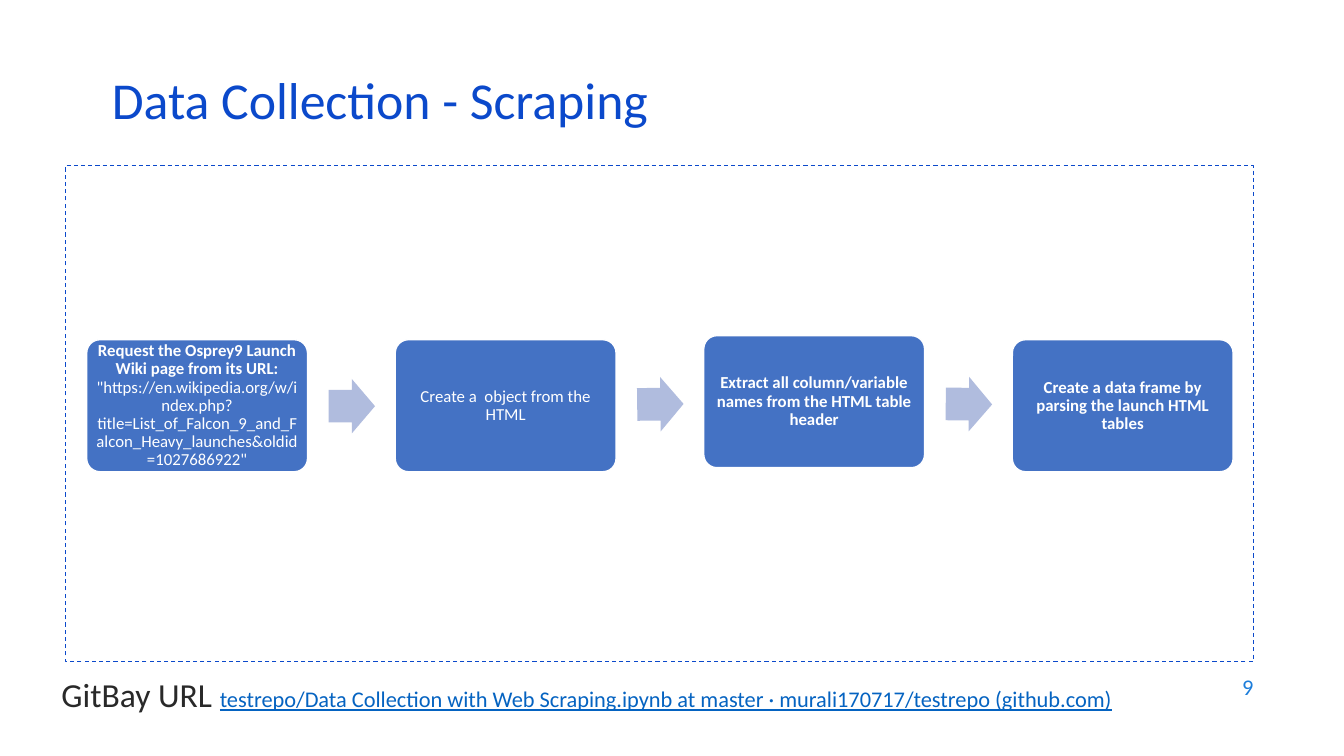
from pptx import Presentation
from pptx.dml.color import RGBColor
from pptx.enum.dml import MSO_LINE
from pptx.enum.shapes import MSO_SHAPE
from pptx.enum.text import MSO_ANCHOR, MSO_AUTO_SIZE, PP_ALIGN
from pptx.oxml.ns import qn
from pptx.util import Inches, Pt

COLORS = {
    "title": "0B49CB",
    "label": "292929",
    "link": "0563C1",
    "number": "1C7DDB",
    "step": "4472C4",
    "arrow": "B0BCDE",
    "white": "FFFFFF",
}


def apply_format(target, values):
    for name, value in values.items():
        setattr(target, name, value)


def add_run(paragraph, text, color, **font_values):
    run = paragraph.add_run()
    run.text = text
    apply_format(run.font, {"name": "Calibri", **font_values})
    run.font.color.rgb = RGBColor.from_string(COLORS[color])


presentation = Presentation()
presentation.slide_width = Inches(13.33)
presentation.slide_height = Inches(7.5)
slide = presentation.slides.add_slide(presentation.slide_layouts[1])

heading = slide.shapes.title
apply_format(heading, {"left": Inches(1.01), "top": Inches(0.76),
                       "width": Inches(11.5), "height": Inches(0.6)})
apply_format(heading.text_frame, {"vertical_anchor": MSO_ANCHOR.MIDDLE,
                                  "auto_size": MSO_AUTO_SIZE.NONE})
heading_line = heading.text_frame.paragraphs[0]
apply_format(heading_line, {"alignment": PP_ALIGN.LEFT, "line_spacing": 0.7})
add_run(heading_line, "Data Collection - Scraping", "title", size=Pt(37))

source_link = slide.placeholders[1]
apply_format(source_link, {"left": Inches(0.51), "top": Inches(6.64),
                           "width": Inches(11.47), "height": Inches(0.55)})
source_link.text_frame.auto_size = MSO_AUTO_SIZE.NONE
source_line = source_link.text_frame.paragraphs[0]
bullet_properties = source_line._p.get_or_add_pPr()
bullet_properties.set("marL", "0")
bullet_properties.set("indent", "0")
bullet_properties.append(bullet_properties.makeelement(qn("a:buNone"), {}))
source_line.space_before = Pt(0)
add_run(source_line, "GitBay URL ", "label", size=Pt(24))
add_run(source_line,
        "testrepo/Data Collection with Web Scraping.ipynb at master · murali170717/testrepo (github.com)",
        "link", size=Pt(16), underline=True)

page_number = slide.shapes.add_textbox(Inches(9.53), Inches(6.59), Inches(3), Inches(0.44))
apply_format(page_number.text_frame, {"word_wrap": True, "vertical_anchor": MSO_ANCHOR.MIDDLE})
number_line = page_number.text_frame.paragraphs[0]
number_line.alignment = PP_ALIGN.RIGHT
add_run(number_line, "9", "number", size=Pt(16))

frame = slide.shapes.add_shape(MSO_SHAPE.RECTANGLE, Inches(0.65), Inches(1.64),
                               Inches(11.78), Inches(4.92))
frame.shadow.inherit = False
frame.fill.background()
frame.line.color.rgb = RGBColor.from_string(COLORS["title"])
apply_format(frame.line, {"width": Pt(0.75), "dash_style": MSO_LINE.DASH})

steps = [
    (3.37, [("Request the Osprey9 Launch Wiki page from its URL: ", True),
            ('"https://en.wikipedia.org/w/index.php?title=List_of_Falcon_9_and_Falcon_Heavy_launches&oldid=1027686922"', False)]),
    (3.37, [("Create a  object from the HTML", False)]),
    (3.33, [("Extract all column/variable names from the HTML table header", True)]),
    (3.37, [("Create a data frame by parsing the launch HTML tables", True)]),
]
arrows = [(3.76, 0), (3.74, -0.7), (3.74, 0.7)]
step_pitch = 3.06
step_inset = Inches(0.05)

for index, (top, passages) in enumerate(steps):
    step = slide.shapes.add_shape(MSO_SHAPE.ROUNDED_RECTANGLE,
                                  Inches(0.86 + index * step_pitch), Inches(top),
                                  Inches(2.19), Inches(1.31))
    step.adjustments[0] = 0.1
    step.shadow.inherit = False
    step.fill.solid()
    step.fill.fore_color.rgb = RGBColor.from_string(COLORS["step"])
    step.line.color.rgb = RGBColor.from_string(COLORS["white"])
    step.line.width = Pt(1)
    apply_format(step.text_frame, {
        "word_wrap": True, "vertical_anchor": MSO_ANCHOR.MIDDLE,
        "margin_left": step_inset, "margin_right": step_inset,
        "margin_top": step_inset, "margin_bottom": step_inset})
    step_line = step.text_frame.paragraphs[0]
    apply_format(step_line, {"alignment": PP_ALIGN.CENTER, "line_spacing": 0.9})
    for passage, bold in passages:
        add_run(step_line, passage, "white", size=Pt(12), bold=bold)

for index, (top, rotation) in enumerate(arrows):
    arrow = slide.shapes.add_shape(MSO_SHAPE.RIGHT_ARROW,
                                   Inches(3.26 + index * step_pitch), Inches(top),
                                   Inches(0.46), Inches(0.54))
    arrow.adjustments[0] = 0.6
    arrow.adjustments[1] = 0.5
    arrow.rotation = rotation
    arrow.shadow.inherit = False
    arrow.fill.solid()
    arrow.fill.fore_color.rgb = RGBColor.from_string(COLORS["arrow"])
    arrow.line.fill.background()

presentation.save("out.pptx")
